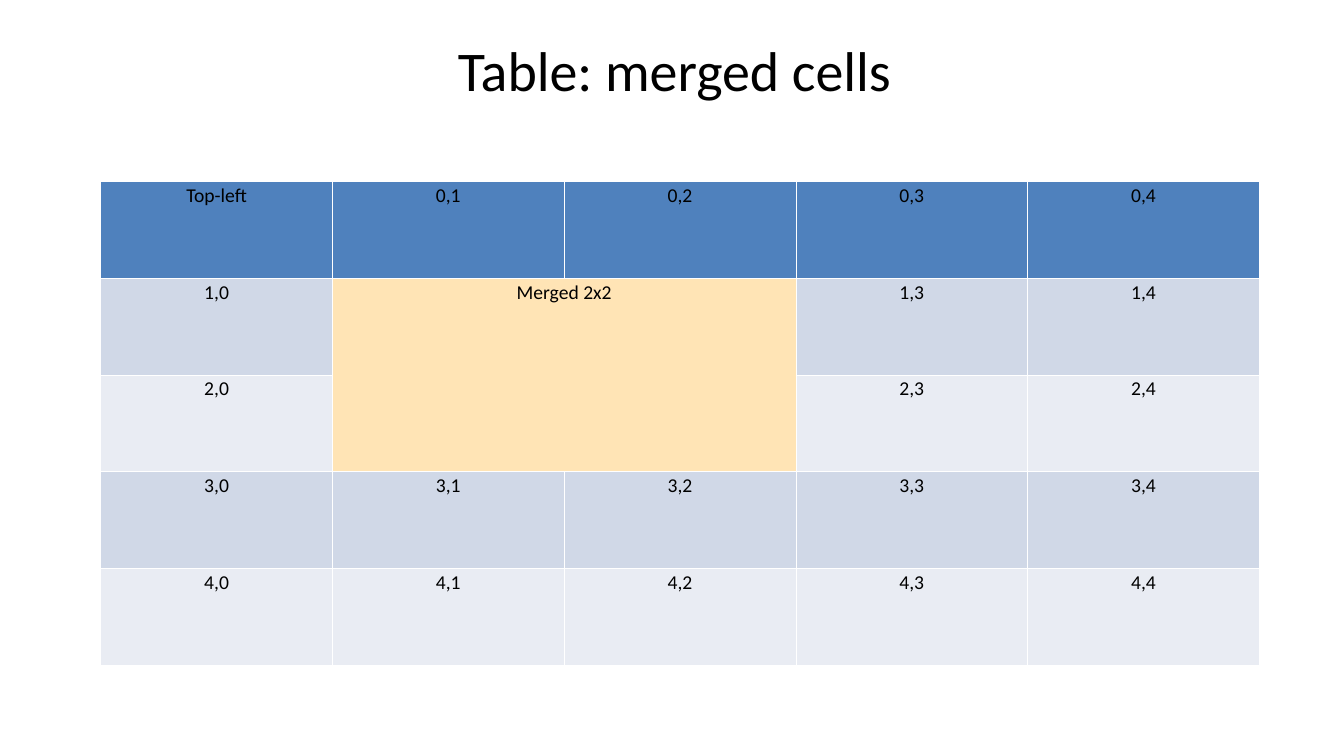
from dataclasses import dataclass
from itertools import product

from lxml.etree import SubElement
from pptx import Presentation
from pptx.dml.color import RGBColor
from pptx.enum.text import MSO_ANCHOR as Anchor, PP_ALIGN as Align
from pptx.oxml.ns import qn
from pptx.util import Inches, Pt


@dataclass(frozen=True)
class Theme:
    font: str = "Calibri"
    title_size: float = 40
    cell_size: float = 14
    border_width: float = 0.45
    line_spacing: float = 0.83
    text: str = "000000"
    border: str = "FFFFFF"
    header: str = "4F81BD"
    odd_row: str = "D0D8E7"
    even_row: str = "E9ECF3"
    merged: str = "FFE4B5"


@dataclass(frozen=True)
class Box:
    left: float
    top: float
    width: float
    height: float


@dataclass(frozen=True)
class MergedCell:
    row: int
    column: int
    rows: int
    columns: int
    text: str


THEME = Theme()
SLIDE_WIDTH, SLIDE_HEIGHT = 13.34, 7.5
TITLE_BOX = Box(4.42, 0.3, 4.55, 0.77)
TABLE_BOX = Box(1, 1.8, 11.5, 4.8)
GRID_SIZE = 5
MERGED = MergedCell(1, 1, 2, 2, "Merged 2x2")


def format_paragraph(paragraph, size: float) -> None:
    paragraph.alignment = Align.CENTER
    for run in paragraph.runs:
        run.font.name = THEME.font
        run.font.size = Pt(size)
        run.font.color.rgb = RGBColor.from_string(THEME.text)


def add_title(slide, text: str, box: Box) -> None:
    title = slide.shapes.title
    title.left, title.top = Inches(box.left), Inches(box.top)
    title.width, title.height = Inches(box.width), Inches(box.height)
    frame = title.text_frame
    frame.text = text
    frame.word_wrap = False
    frame.vertical_anchor = Anchor.TOP
    format_paragraph(frame.paragraphs[0], THEME.title_size)


def set_borders(cell) -> None:
    properties = cell._tc.get_or_add_tcPr()
    for side in ("a:lnL", "a:lnR", "a:lnT", "a:lnB"):
        line = SubElement(properties, qn(side), w=str(Pt(THEME.border_width)))
        fill = SubElement(line, qn("a:solidFill"))
        SubElement(fill, qn("a:srgbClr"), val=THEME.border)


def row_color(row: int) -> str:
    if row == 0:
        return THEME.header
    return THEME.odd_row if row % 2 else THEME.even_row


def format_cell(cell, text: str, color: str) -> None:
    set_borders(cell)
    cell.fill.solid()
    cell.fill.fore_color.rgb = RGBColor.from_string(color)
    cell.text_frame.text = text
    paragraph = cell.text_frame.paragraphs[0]
    paragraph.line_spacing = THEME.line_spacing
    format_paragraph(paragraph, THEME.cell_size)


def add_grid(slide, box: Box, size: int, merged: MergedCell) -> None:
    table = slide.shapes.add_table(
        size, size, Inches(box.left), Inches(box.top), Inches(box.width), Inches(box.height)
    ).table
    table.first_row = table.horz_banding = False
    origin = table.cell(merged.row, merged.column)
    origin.merge(
        table.cell(merged.row + merged.rows - 1, merged.column + merged.columns - 1)
    )
    for row, column in product(range(size), repeat=2):
        cell = table.cell(row, column)
        if cell.is_merge_origin:
            format_cell(cell, merged.text, THEME.merged)
        elif cell.is_spanned:
            format_cell(cell, "", THEME.merged)
        else:
            text = f"{row},{column}" if row or column else "Top-left"
            format_cell(cell, text, row_color(row))


def main() -> None:
    presentation = Presentation()
    presentation.slide_width = Inches(SLIDE_WIDTH)
    presentation.slide_height = Inches(SLIDE_HEIGHT)
    title_only = presentation.slide_layouts.get_by_name("Title Only")
    slide = presentation.slides.add_slide(title_only)
    add_title(slide, "Table: merged cells", TITLE_BOX)
    add_grid(slide, TABLE_BOX, GRID_SIZE, MERGED)
    presentation.save("out.pptx")


if __name__ == "__main__":
    main()
